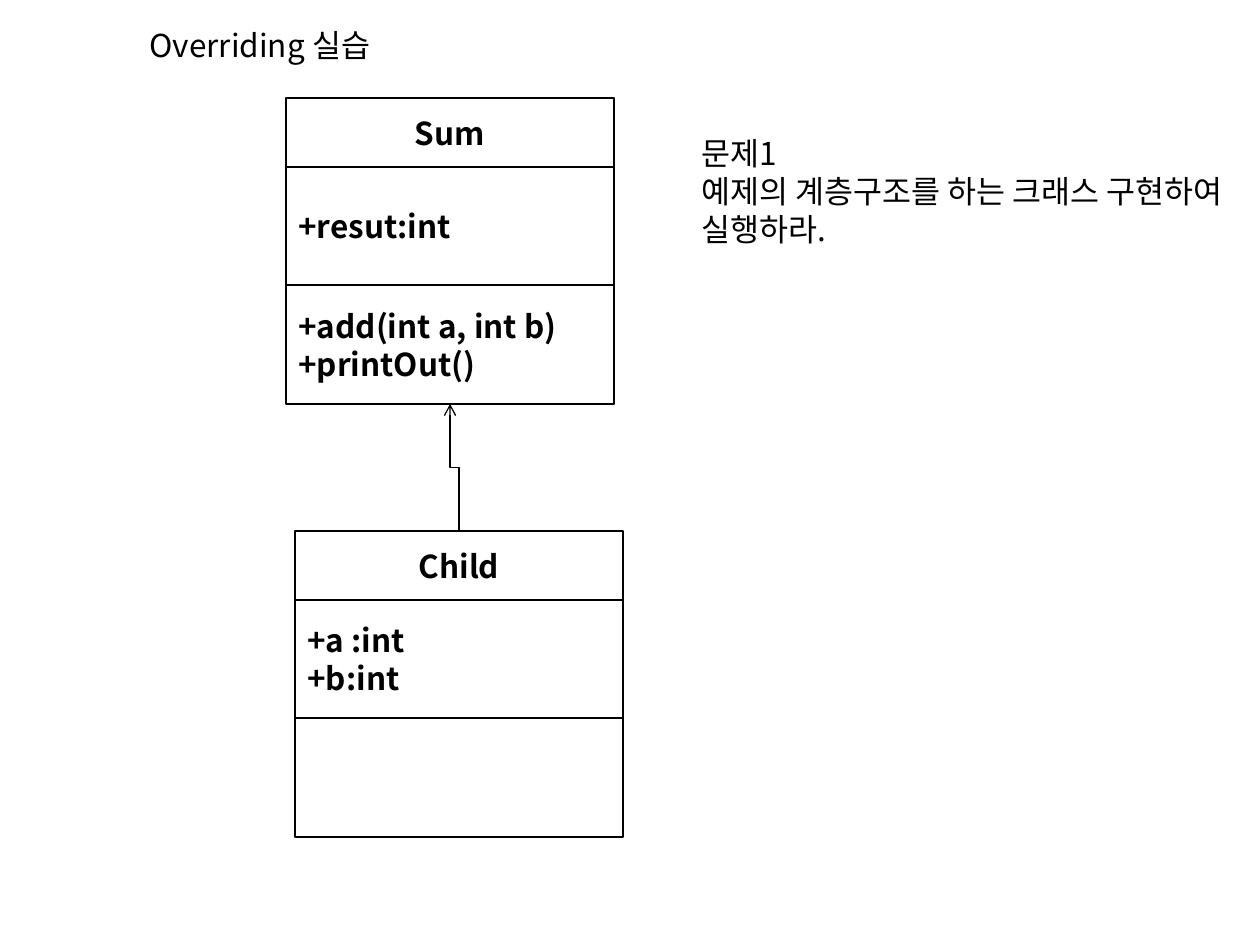
from lxml import etree
from pptx import Presentation
from pptx import util as u
from pptx.dml.color import RGBColor
from pptx.enum import shapes, text
from pptx.oxml.ns import qn

BLACK = RGBColor(0, 0, 0)
FONT = "Noto Sans CJK KR"
PX_PER_INCH = 126


def px(n):
    return u.Emu(round(n * 914400 / PX_PER_INCH))


def write(tf, lines, bold=False, align=text.PP_ALIGN.LEFT,
          anchor=text.MSO_ANCHOR.TOP, wrap=True, fit=False):
    tf.word_wrap = wrap
    tf.vertical_anchor = anchor
    tf.auto_size = (text.MSO_AUTO_SIZE.SHAPE_TO_FIT_TEXT if fit
                    else text.MSO_AUTO_SIZE.NONE)
    for i, line in enumerate(lines):
        p = tf.add_paragraph() if i else tf.paragraphs[0]
        p.alignment = align
        r = p.add_run()
        r.text = line
        r.font.name, r.font.size, r.font.bold = FONT, u.Pt(18), bold
        r.font.color.rgb = BLACK
        ea = etree.SubElement(r.font._element, qn("a:ea"))
        ea.set("typeface", FONT)


class Diagram:
    CLASS_W = 328
    ROW_HEIGHTS = (69, 118, 119)

    def __init__(self, s):
        self.s = s

    def outline(self, sp):
        sp.line.color.rgb = BLACK
        sp.line.width = u.Pt(0.75)

    def title(self, line, x, y, w, h):
        sp = self.s.shapes.title
        sp.left, sp.top, sp.width, sp.height = map(px, (x, y, w, h))
        write(sp.text_frame, [line], fit=True)

    def note(self, lines, x, y, w, h):
        sp = self.s.shapes.add_textbox(*map(px, (x, y, w, h)))
        write(sp.text_frame, lines, fit=True)

    def row(self, lines, x, y, h, align):
        sp = self.s.shapes.add_shape(shapes.MSO_SHAPE.RECTANGLE,
                                     *map(px, (x, y, self.CLASS_W, h)))
        sp.shadow.inherit = False
        sp.fill.background()
        self.outline(sp)
        write(sp.text_frame, lines, bold=True, align=align,
              anchor=text.MSO_ANCHOR.MIDDLE, wrap=False)

    def uml_class(self, name, fields, methods, x, y):
        """Stack the three rows; return the top and bottom centre points."""
        top = y
        for i, (lines, h) in enumerate(zip(([name], fields, methods),
                                           self.ROW_HEIGHTS)):
            align = text.PP_ALIGN.LEFT if i else text.PP_ALIGN.CENTER
            self.row(lines, x, y, h, align)
            y += h
        mid = x + self.CLASS_W // 2
        return (mid, top), (mid, y)

    def inherit_arrow(self, start, end):
        """Vertical elbow going up and left: a flat one turned by 270 degrees."""
        (x1, y1), (x2, y2) = start, end
        cx, cy = (x1 + x2) / 2, (y1 + y2) / 2
        half_w, half_h = (y1 - y2) / 2, (x1 - x2) / 2
        c = self.s.shapes.add_connector(
            shapes.MSO_CONNECTOR.ELBOW, px(cx - half_w), px(cy + half_h),
            px(cx + half_w), px(cy - half_h))
        self.outline(c)
        sp_pr = c._element.spPr
        sp_pr.find(qn("a:xfrm")).set("rot", str(270 * 60000))
        etree.SubElement(c.line._get_or_add_ln(), qn("a:tailEnd")).set("type", "arrow")
        etree.SubElement(sp_pr, qn("a:effectLst"))


def main():
    prs = Presentation()
    prs.slide_width, prs.slide_height = u.Inches(10), u.Inches(7.5)
    d = Diagram(prs.slides.add_slide(prs.slide_layouts[5]))

    # Title
    d.title("Overriding 실습", 137, 20, 808, 50)

    # Class diagram
    _, sum_bottom = d.uml_class("Sum", ["+resut:int"],
                                ["+add(int a, int b)", "+printOut()"], 286, 98)
    child_top, _ = d.uml_class("Child", ["+a :int", "+b:int"], [], 295, 531)
    d.inherit_arrow(child_top, sum_bottom)

    # Exercise
    d.note(["문제1", "예제의 계층구조를 하는 크래스 구현하여", "실행하라."],
           689, 128, 610, 126)

    prs.save("out.pptx")


if __name__ == "__main__":
    main()
